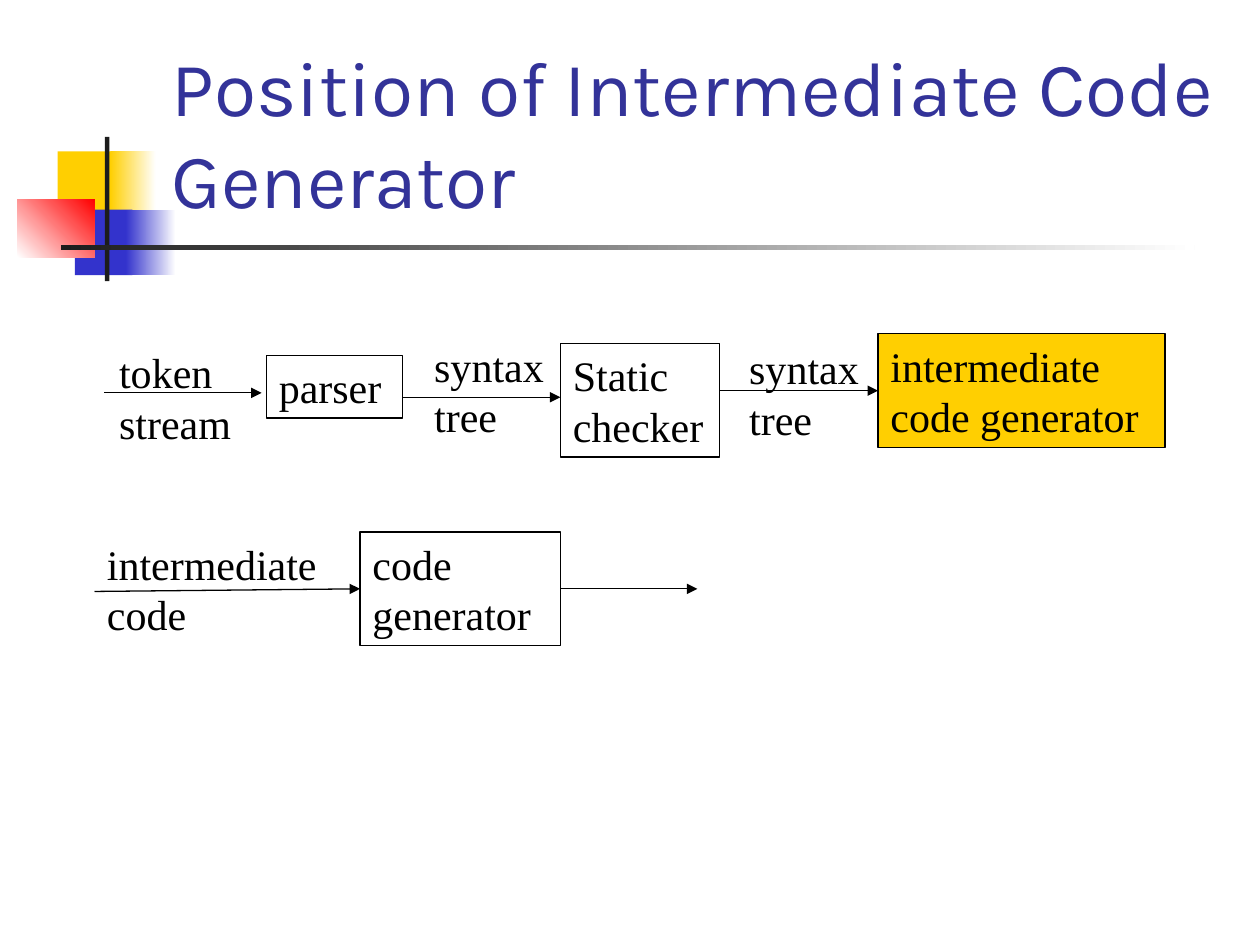
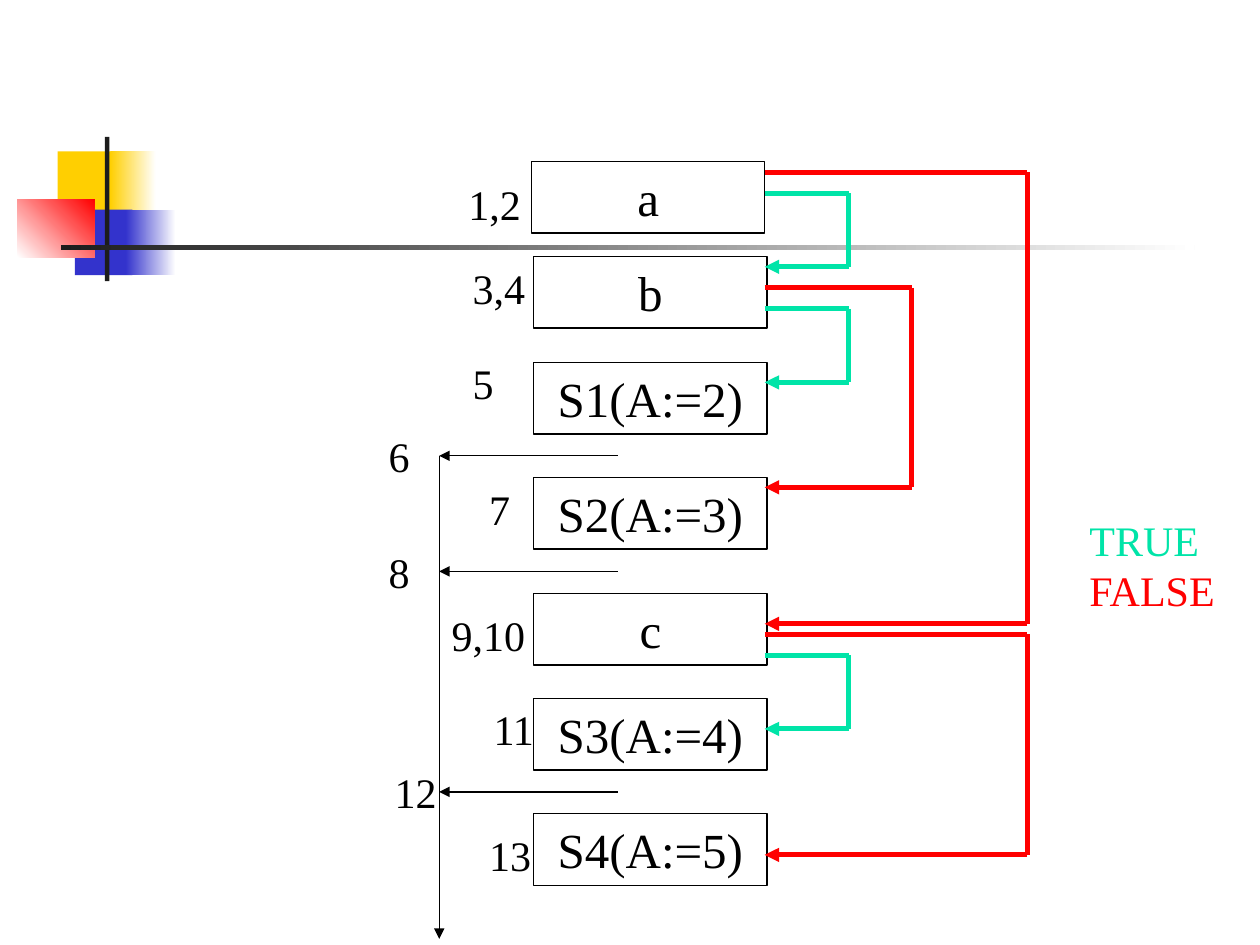
from dataclasses import dataclass

from lxml.etree import SubElement
from pptx import Presentation
from pptx.dml.color import RGBColor
from pptx.enum.shapes import MSO_CONNECTOR, MSO_SHAPE
from pptx.enum.text import MSO_ANCHOR, MSO_AUTO_SIZE, PP_ALIGN
from pptx.oxml.ns import qn
from pptx.util import Pt


@dataclass(frozen=True)
class Theme:
    black: RGBColor = RGBColor.from_string("000000")
    white: RGBColor = RGBColor.from_string("FFFFFF")
    charcoal: RGBColor = RGBColor.from_string("1C1C1C")
    yellow: RGBColor = RGBColor.from_string("FFCF01")
    blue: RGBColor = RGBColor.from_string("3333CC")
    red: RGBColor = RGBColor.from_string("FF0000")
    green: RGBColor = RGBColor.from_string("00E4A8")
    title: RGBColor = RGBColor.from_string("333399")
    title_font: str = "Karla"
    body_font: str = "Times New Roman"
    title_size: int = 44
    step_size: int = 28
    body_size: int = 24
    line_height: float = 1.2
    thin: float = 0.75
    thick: float = 2.75


theme = Theme()


def add_text(slide, text, left, top, width, height, boxed=False, fill=None,
             size=theme.body_size, font=theme.body_font, colors=(theme.black,),
             align=PP_ALIGN.LEFT, anchor=MSO_ANCHOR.TOP):
    """Add text, in an outlined rectangle if boxed; colors holds one colour per line."""
    place = Pt(left), Pt(top), Pt(width), Pt(height)
    if boxed:
        shape = slide.shapes.add_shape(MSO_SHAPE.RECTANGLE, *place)
        shape.shadow.inherit = False
        shape.line.color.rgb = theme.black
        shape.line.width = Pt(theme.thin)
        if fill is None:
            shape.fill.background()
        else:
            shape.fill.solid()
            shape.fill.fore_color.rgb = fill
    else:
        shape = slide.shapes.add_textbox(*place)
    frame = shape.text_frame
    frame.word_wrap = True
    frame.auto_size = MSO_AUTO_SIZE.NONE
    frame.vertical_anchor = anchor
    frame.text = text
    for paragraph, color in zip(frame.paragraphs, colors):
        paragraph.alignment = align
        paragraph.line_spacing = Pt(size * theme.line_height)
        paragraph.font.name = font
        paragraph.font.size = Pt(size)
        paragraph.font.color.rgb = color
    return shape


def add_line(slide, start, end, color=theme.black, width=theme.thin, arrow=True):
    points = [Pt(value) for value in (*start, *end)]
    connector = slide.shapes.add_connector(MSO_CONNECTOR.STRAIGHT, *points)
    connector.line.color.rgb = color
    connector.line.width = Pt(width)
    if arrow:
        SubElement(connector.line._get_or_add_ln(), qn("a:tailEnd"), type="triangle")
    SubElement(connector._element.spPr, qn("a:effectLst"))
    return connector


presentation = Presentation()
presentation.slide_width, presentation.slide_height = Pt(720), Pt(540)
blank_layout = presentation.slide_layouts[6]
position_slide = presentation.slides.add_slide(blank_layout)
backpatch_slide = presentation.slides.add_slide(blank_layout)

# Corner ornament: place, colours from start to end, gradient angle
ornament = [
    ((33, 86.5, 34.5, 37.5), (theme.yellow,), 0),
    ((63, 86.5, 26, 37.5), (theme.yellow, theme.white), 0),
    ((42.75, 119.75, 33, 37.5), (theme.blue,), 0),
    ((72, 119.75, 28.5, 37.5), (theme.blue, theme.white), 0),
    ((10, 113.75, 44, 33.25), (theme.white, theme.red), 45),
    ((60, 78.25, 2.5, 82.5), (theme.charcoal,), 0),
    ((34.75, 140.25, 648, 2.5), (theme.charcoal, theme.white), 0),
]
for slide in presentation.slides:
    for place, colors, angle in ornament:
        block = slide.shapes.add_shape(MSO_SHAPE.RECTANGLE, *map(Pt, place))
        block.shadow.inherit = False
        block.line.fill.background()
        if len(colors) == 1:
            block.fill.solid()
            block.fill.fore_color.rgb = colors[0]
        else:
            block.fill.gradient()
            block.fill.gradient_angle = angle
            for stop, color in zip(block.fill.gradient_stops, colors):
                stop.color.rgb = color

# Slide 1: the compiler pipeline
add_text(position_slide, "Position of Intermediate Code Generator", 91, 16.75, 613.5, 115,
         size=theme.title_size, font=theme.title_font, colors=(theme.title,),
         anchor=MSO_ANCHOR.BOTTOM)

add_text(position_slide, "parser", 152.25, 203, 78, 36, boxed=True)
add_text(position_slide, "Static checker", 320.25, 196.25, 91, 65, boxed=True)
intermediate_generator = add_text(position_slide, "intermediate code generator",
                                  501.75, 190.75, 164, 65, boxed=True, fill=theme.yellow)
code_generator = add_text(position_slide, "code generator", 205.75, 304, 114.5, 65, boxed=True)

for label, left, top, width in [
    ("token stream", 61, 194.5, 80),
    ("syntax tree", 241, 191, 85),
    ("syntax tree", 421, 192.25, 85),
    ("intermediate code", 54, 304, 143),
]:
    add_text(position_slide, label, left, top, width, 65)

add_line(position_slide, (59.5, 224.5), (149.5, 224.5))
add_line(position_slide, (230, 227), (320.25, 227))
to_intermediate = add_line(position_slide, (411.25, 223.25), (501.75, 223.25))
to_intermediate.end_connect(intermediate_generator, 1)
to_code_generator = add_line(position_slide, (54, 338), (205.75, 336.5))
to_code_generator.end_connect(code_generator, 1)
from_code_generator = add_line(position_slide, (320.25, 336.5), (398.5, 336.5))
from_code_generator.begin_connect(code_generator, 3)

# Slide 2: jumps between numbered steps
for step, left, top in [
    ("a", 303.75, 92.25), ("b", 305, 146.5), ("S1(A:=2)", 305, 207), ("S2(A:=3)", 305, 272.75),
    ("c", 305, 339), ("S3(A:=4)", 305, 399), ("S4(A:=5)", 305, 465),
]:
    add_text(backpatch_slide, step, left, top, 133.25, 41, boxed=True,
             size=theme.step_size, align=PP_ALIGN.CENTER)

step_right = 437
for color, turn_x, leave_y, enter_y in [
    (theme.red, 587, 98.5, 356.5),
    (theme.red, 521, 164.5, 278.5),
    (theme.red, 587, 362.5, 488.5),
    (theme.green, 485, 110.5, 152.5),
    (theme.green, 485, 176.5, 218.5),
    (theme.green, 485, 374.5, 416.5),
]:
    corners = [(step_right, leave_y), (turn_x, leave_y), (turn_x, enter_y), (step_right, enter_y)]
    for index, (start, end) in enumerate(zip(corners, corners[1:])):
        add_line(backpatch_slide, start, end, color, theme.thick, arrow=index == 2)

add_text(backpatch_slide, "TRUE\nFALSE", 615.5, 290.5, 92, 65,
         colors=(theme.green, theme.red))

exit_x = 251
exit_rows = (260.5, 326.5, 452.5)
for exit_y in exit_rows:
    add_line(backpatch_slide, (353, exit_y), (exit_x, exit_y))
add_line(backpatch_slide, (exit_x, exit_rows[0]), (exit_x, 536.5))

for number, left, top, width in [
    ("1,2", 260.5, 98.5, 48), ("3,4", 263, 146.5, 48), ("5", 263, 200.5, 30),
    ("6", 215, 242.5, 30), ("7", 272.5, 272.5, 30), ("8", 215, 308.5, 30),
    ("9,10", 251, 344.5, 60), ("11", 275, 398.5, 42), ("12", 218.5, 434.5, 42),
    ("13", 272.5, 470.5, 42),
]:
    add_text(backpatch_slide, number, left, top, width, 36)

presentation.save("out.pptx")
